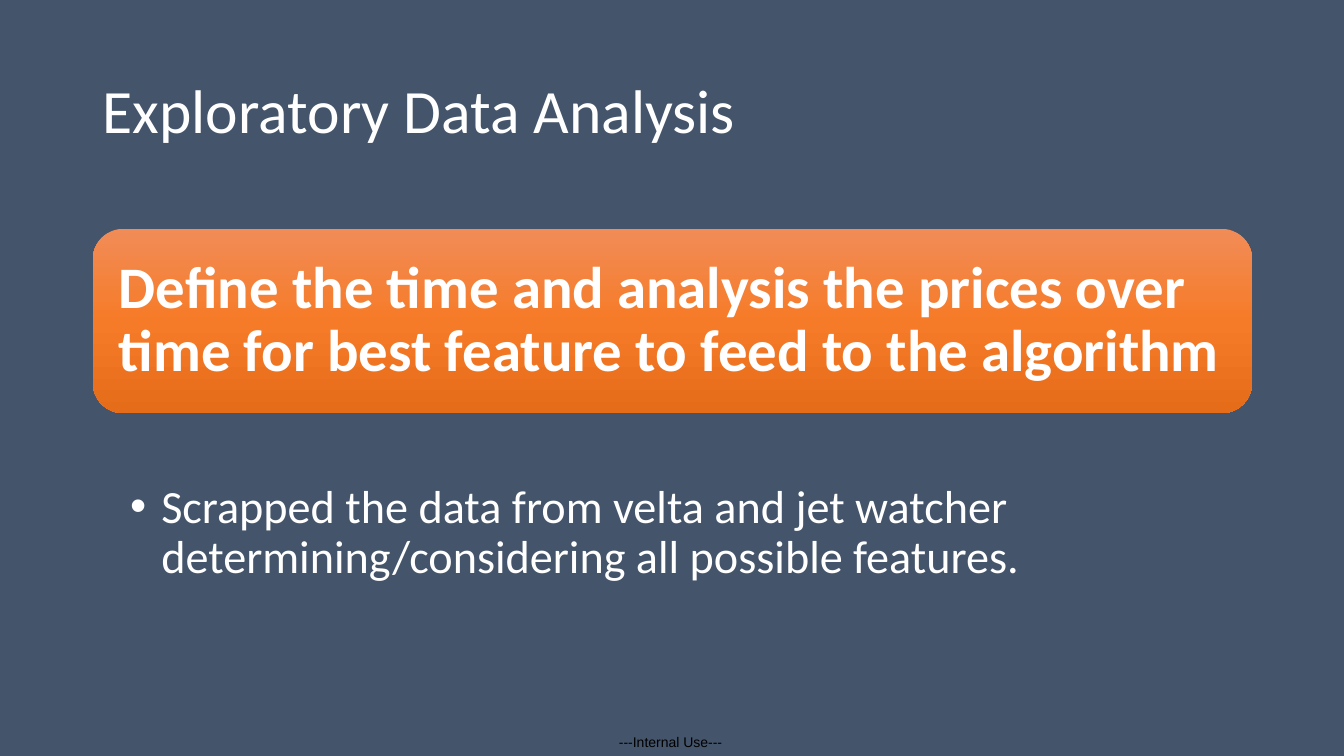
from copy import deepcopy
from dataclasses import dataclass

from lxml import etree
from pptx import Presentation
from pptx import util as u
from pptx.dml import color
from pptx.enum import shapes, text
from pptx.oxml import ns


@dataclass(frozen=True)
class Theme:
    background: str = "44546A"
    light: str = "FFFFFF"
    dark: str = "000000"
    gradient: tuple[str, ...] = ("F18C57", "F67B28", "E56C19")
    body_font: str = "Calibri"
    label_font: str = "Arial"
    title_size: int = 44
    banner_size: int = 42
    bullet_size: int = 33
    label_size: int = 10


@dataclass(frozen=True)
class TextBlock:
    words: str
    area: tuple[float, float, float, float]
    size: int
    insets: tuple[float, float, float, float] = (0.1, 0.05, 0.1, 0.05)
    font: str = Theme.body_font
    ink: str = Theme.light
    bold: bool = False
    anchor: text.MSO_ANCHOR = text.MSO_ANCHOR.MIDDLE
    align: text.PP_ALIGN = text.PP_ALIGN.LEFT
    spacing: float = 0.9
    bullet: bool = False
    banner: bool = False


THEME = Theme()
LEFT, WIDTH = 0.92, 11.5
BULLET_INDENT = 0.31

BLOCKS = (
    TextBlock("---Internal Use---", (5.98, 7.23, 1.34, 0.27), THEME.label_size,
              insets=(0, 0, 0, 0), font=THEME.label_font, ink=THEME.dark,
              align=text.PP_ALIGN.CENTER, spacing=1.0),
    TextBlock("Exploratory Data Analysis", (LEFT, 0.4, WIDTH, 1.45), THEME.title_size),
    TextBlock("Define the time and analysis the prices over time for best feature "
              "to feed to the algorithm",
              (LEFT, 2.27, WIDTH, 1.83), THEME.banner_size,
              insets=(0.17, 0.17, 0.17, 0.17), bold=True, banner=True),
    TextBlock("Scrapped the data from velta and jet watcher "
              "determining/considering all possible features.",
              (LEFT, 4.1, WIDTH, 2.38), THEME.bullet_size,
              insets=(0.37, 0.7, 0.33, 0.06), anchor=text.MSO_ANCHOR.TOP, bullet=True),
)


def apply(target: object, values: dict[str, object]) -> None:
    for name, value in values.items():
        setattr(target, name, value)


def rgb(value: str) -> color.RGBColor:
    return color.RGBColor.from_string(value)


def paint_gradient(box) -> None:
    box.fill.gradient()
    box.fill.gradient_angle = 270
    stop_list = box._element.spPr.find(".//" + ns.qn("a:gsLst"))
    stop_list.append(deepcopy(stop_list[-1]))
    last = len(THEME.gradient) - 1
    for index, (stop, value) in enumerate(zip(box.fill.gradient_stops, THEME.gradient)):
        stop.position = index / last
        stop.color.rgb = rgb(value)


def add_bullet(para) -> None:
    properties = para._p.get_or_add_pPr()
    indent = u.Inches(BULLET_INDENT)
    properties.set("marL", str(indent))
    properties.set("indent", str(-indent))
    font = etree.SubElement(properties, ns.qn("a:buFont"))
    font.set("typeface", THEME.label_font)
    etree.SubElement(properties, ns.qn("a:buChar")).set("char", "•")


def add_block(page, block: TextBlock) -> None:
    area = [u.Inches(value) for value in block.area]
    if block.banner:
        box = page.shapes.add_shape(shapes.MSO_SHAPE.ROUNDED_RECTANGLE, *area)
        box.shadow.inherit = False
        box.line.fill.background()
        paint_gradient(box)
    else:
        box = page.shapes.add_textbox(*area)

    left, top, right, bottom = (u.Inches(value) for value in block.insets)
    apply(box.text_frame, {
        "word_wrap": True, "vertical_anchor": block.anchor,
        "margin_left": left, "margin_top": top,
        "margin_right": right, "margin_bottom": bottom,
    })
    para = box.text_frame.paragraphs[0]
    apply(para, {"alignment": block.align, "line_spacing": block.spacing})
    if block.bullet:
        add_bullet(para)
    span = para.add_run()
    span.text = block.words
    apply(span.font, {"name": block.font, "size": u.Pt(block.size), "bold": block.bold})
    span.font.color.rgb = rgb(block.ink)


def main() -> None:
    deck = Presentation()
    apply(deck, {"slide_width": u.Inches(13.33), "slide_height": u.Inches(7.5)})
    page = deck.slides.add_slide(deck.slide_layouts[6])
    page.background.fill.solid()
    page.background.fill.fore_color.rgb = rgb(THEME.background)
    for block in BLOCKS:
        add_block(page, block)
    deck.save("out.pptx")


if __name__ == "__main__":
    main()
